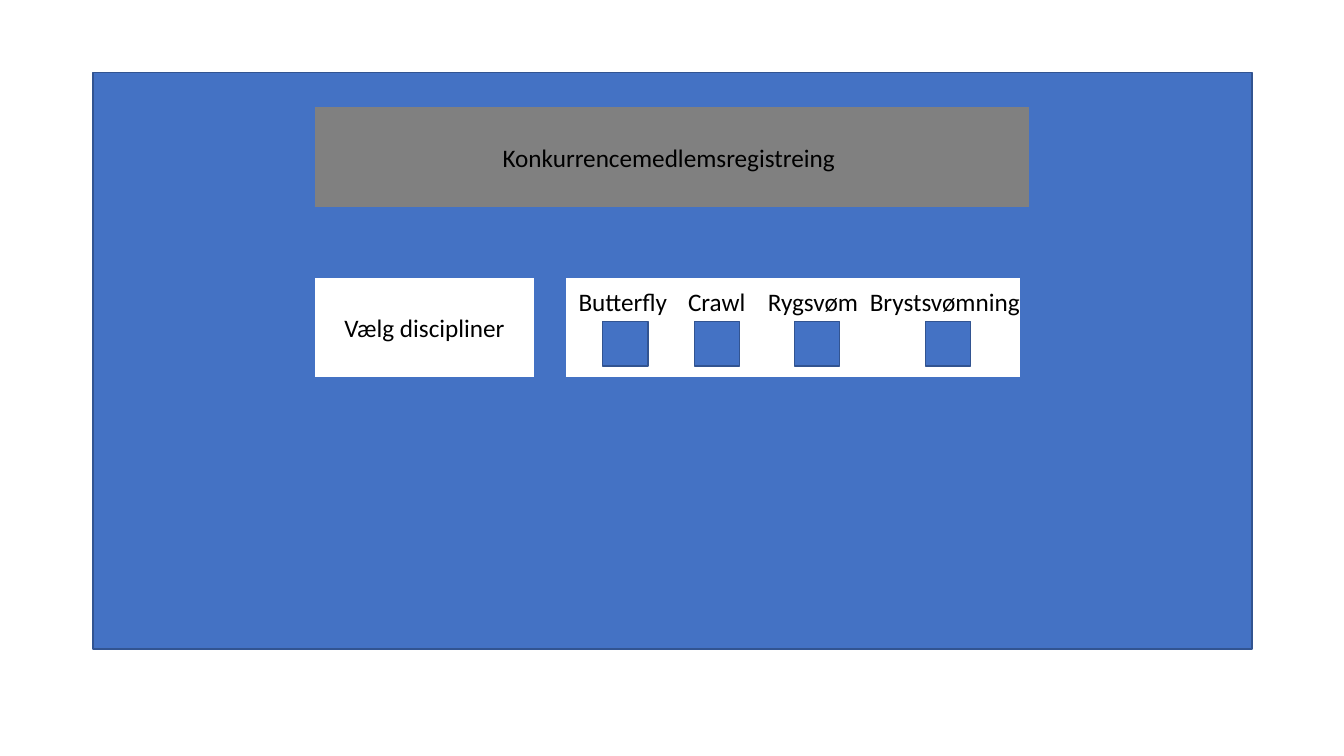
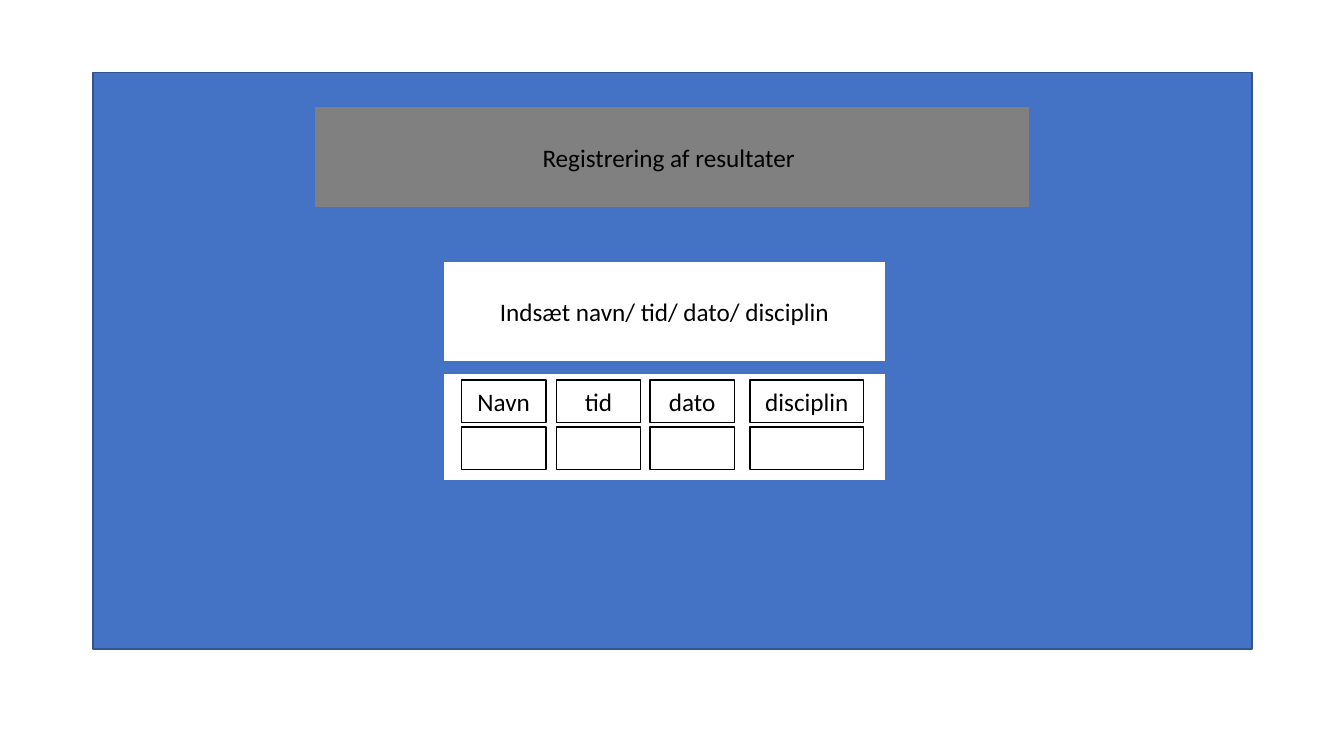
from pptx import Presentation
from pptx.dml.color import RGBColor
from pptx.enum.shapes import MSO_SHAPE
from pptx.enum.text import MSO_ANCHOR, MSO_AUTO_SIZE, PP_ALIGN
from pptx.util import Cm, Pt

RECTANGLE = MSO_SHAPE.RECTANGLE
MIDDLE, TOP = MSO_ANCHOR.MIDDLE, MSO_ANCHOR.TOP
CENTER, LEFT = PP_ALIGN.CENTER, PP_ALIGN.LEFT
NO_AUTOFIT = MSO_AUTO_SIZE.NONE

TITLE_ONLY = 5
FONT = "Calibri"
COLORS = {
    "blue": "4472C4",
    "dark_blue": "325491",
    "gray": "808080",
    "white": "FFFFFF",
    "black": "000000",
}
PANEL = (2.34, 1.83, 29.21, 14.53)
TITLE_BAND = (7.91, 2.69, 18.03, 2.54)


def color(name):
    """Return the palette colour as an RGBColor."""
    return RGBColor.from_string(COLORS[name])


def write(shape, text, size=18, ink="black", align=CENTER, anchor=MIDDLE):
    """Put formatted text into a shape."""
    frame = shape.text_frame
    frame.word_wrap = True
    frame.auto_size = NO_AUTOFIT
    frame.vertical_anchor = anchor
    paragraph = frame.paragraphs[0]
    paragraph.alignment = align
    run = paragraph.add_run()
    run.text = text
    run.font.name = FONT
    run.font.size = Pt(size)
    run.font.color.rgb = color(ink)


def paint(shape, fill, outline):
    """Give a shape its fill and its thin outline."""
    shape.fill.solid()
    shape.fill.fore_color.rgb = color(fill)
    shape.line.color.rgb = color(outline)
    shape.line.width = Pt(1)


def add_box(slide, bounds, fill="white", outline="blue", text=None):
    """Add a rectangle, with centred text if any is given."""
    box = slide.shapes.add_shape(RECTANGLE, *map(Cm, bounds))
    box.shadow.inherit = False
    paint(box, fill, outline)
    if text:
        write(box, text)
    return box


def add_label(slide, bounds, text):
    """Add a left-aligned caption."""
    label = slide.shapes.add_textbox(*map(Cm, bounds))
    write(label, text, align=LEFT, anchor=TOP)


def add_screen(prs, heading):
    """Add a slide with the blue panel and the title band on it."""
    slide = prs.slides.add_slide(prs.slide_layouts[TITLE_ONLY])
    panel = add_box(slide, PANEL, fill="blue", outline="dark_blue")
    title = slide.shapes.title
    title.element.addprevious(panel.element)
    title.left, title.top, title.width, title.height = map(Cm, TITLE_BAND)
    paint(title, "gray", "blue")
    write(title, heading)
    return slide


def add_discipline_screen(prs):
    """Build the screen where a member ticks disciplines."""
    slide = add_screen(prs, "Konkurrencemedlemsregistreing ")
    add_box(slide, (7.92, 6.99, 5.56, 2.54), text="Vælg discipliner")
    add_box(slide, (14.25, 6.99, 11.48, 2.54))
    # Name, label left, label width, checkbox left
    disciplines = [
        ("Butterfly", 14.33, 4.01, 15.19),
        ("Crawl", 17.09, 3.71, 17.5),
        ("Rygsvøm", 19.1, 2.97, 20.02),
        ("Brystsvømning", 21.67, 4.52, 23.32),
    ]
    for name, label_left, label_width, checkbox_left in disciplines:
        add_box(slide, (checkbox_left, 8.1, 1.14, 1.12),
                fill="blue", outline="dark_blue")
        add_label(slide, (label_left, 7.09, label_width, 1.02), name)


def add_result_screen(prs):
    """Build the screen where a result is entered."""
    slide = add_screen(prs, "Registrering af resultater ")
    add_box(slide, (11.18, 6.58, 11.13, 2.54),
            text="Indsæt navn/ tid/ dato/ disciplin")
    add_box(slide, (11.18, 9.4, 11.13, 2.72))
    fields = [
        ("Navn", 11.63, 2.13),
        ("tid", 14.02, 2.13),
        ("dato", 16.38, 2.13),
        ("disciplin", 18.9, 2.87),
    ]
    for name, left, width in fields:
        for top, text in ((9.58, name), (10.76, None)):
            add_box(slide, (left, top, width, 1.07),
                    outline="black", text=text)


def main():
    """Build and save the presentation."""
    prs = Presentation()
    prs.slide_width, prs.slide_height = Cm(33.87), Cm(19.05)
    add_discipline_screen(prs)
    add_result_screen(prs)
    prs.save("out.pptx")


main()
